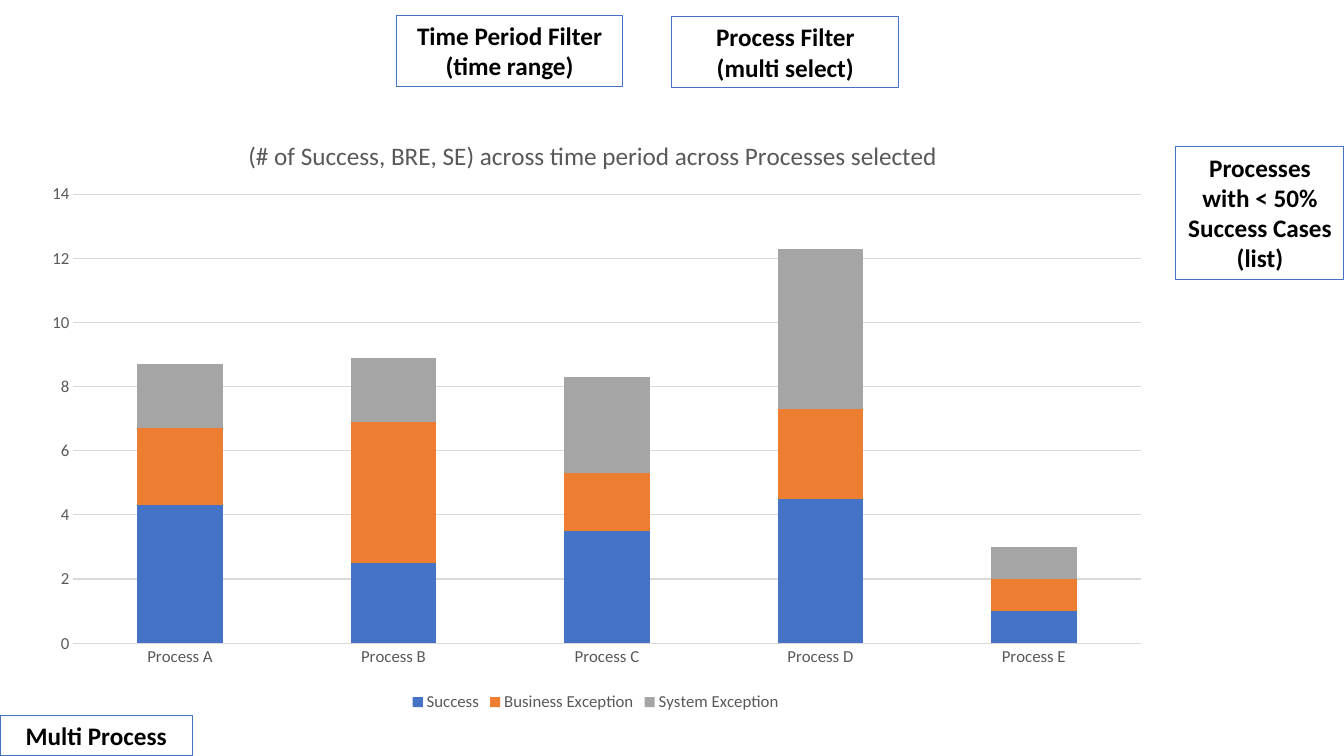
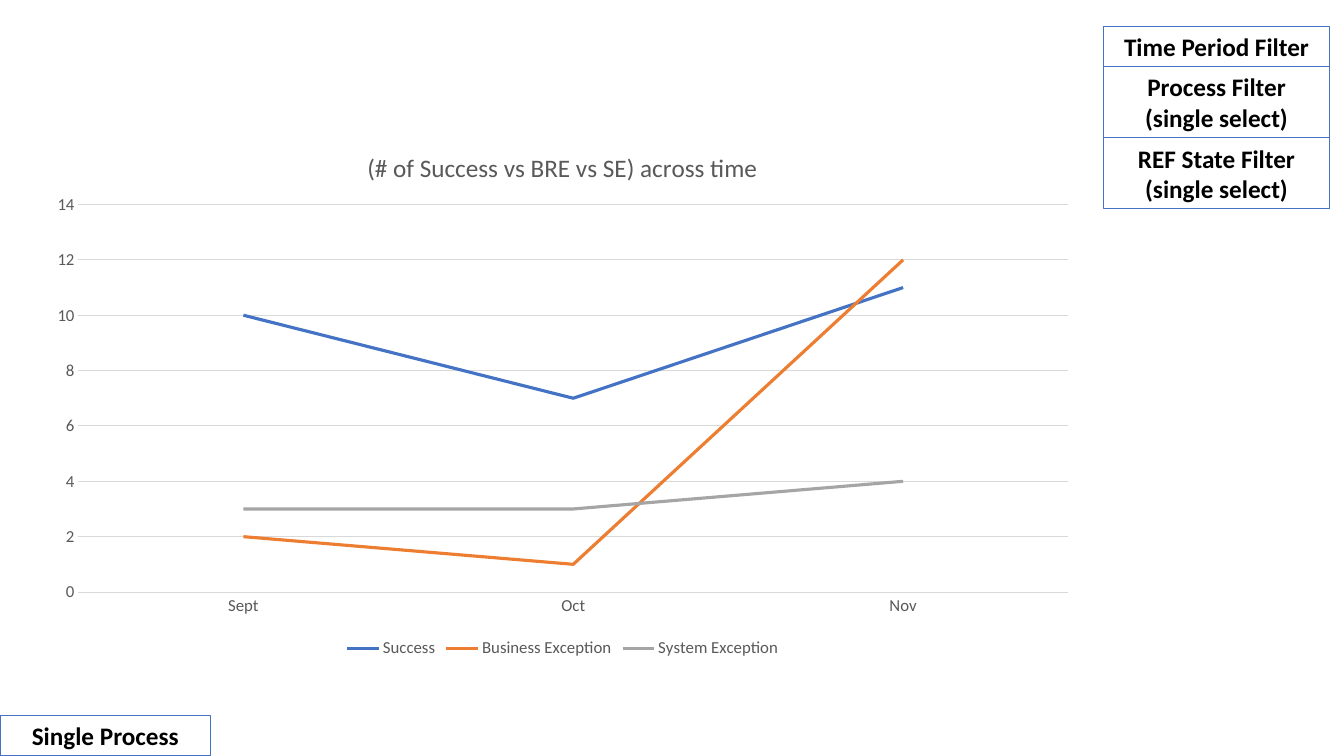
"""Build two dashboard slides: outcomes across processes and outcomes over time."""
import lxml.etree
import pptx
import pptx.chart.data
import pptx.dml.color
import pptx.enum.chart
import pptx.enum.text
import pptx.oxml.ns
import pptx.util

FONT = "Calibri"
BLUE, ORANGE, GRAY = "4472C4", "ED7D31", "A5A5A5"
BLACK, CHART_TEXT, GRID = "000000", "595959", "D9D9D9"
SLIDE_WIDTH, SLIDE_HEIGHT = 960, 540
FILTER_WIDTH = 162
LINE_HEIGHT, BOX_PADDING = 21.8, 7.2
OUTCOMES = [("Success", BLUE), ("Business Exception", ORANGE), ("System Exception", GRAY)]


def rgb(color):
    """Return the colour object for a hex string."""
    return pptx.dml.color.RGBColor.from_string(color)


def add_box(slide, text, left, top, width, lines, size=18, color=BLACK, bold=True):
    """Add an outlined text box and return its bottom edge."""
    height = BOX_PADDING + LINE_HEIGHT * lines
    shape = slide.shapes.add_textbox(*map(pptx.util.Pt, (left, top, width, height)))
    shape.line.color.rgb = rgb(BLUE)
    shape.line.width = pptx.util.Pt(0.75)
    frame = shape.text_frame
    frame.word_wrap = True
    frame.auto_size = pptx.enum.text.MSO_AUTO_SIZE.SHAPE_TO_FIT_TEXT
    frame.text = text
    for paragraph in frame.paragraphs:
        paragraph.alignment = pptx.enum.text.PP_ALIGN.CENTER
        for run in paragraph.runs:
            run.font.name = FONT
            run.font.size = pptx.util.Pt(size)
            run.font.bold = bold
            run.font.color.rgb = rgb(color)
    return top + height


presentation = pptx.Presentation()
presentation.slide_width = pptx.util.Pt(SLIDE_WIDTH)
presentation.slide_height = pptx.util.Pt(SLIDE_HEIGHT)
blank_layout = presentation.slide_layouts[6]

dashboards = [
    {
        "tag": "Multi Process",
        "tag_width": 137.5,
        "kind": pptx.enum.chart.XL_CHART_TYPE.COLUMN_STACKED,
        "title": "(# of Success, BRE, SE) across time period across Processes selected",
        "area": (20, 78, 811, 433.5),
        "title_place": {"x": 0.19, "y": 0.04},
        "plot_place": {"x": 0.04, "y": 0.14, "w": 0.94, "h": 0.74},
        "categories": ["Process A", "Process B", "Process C", "Process D", "Process E"],
        "values": [(4.3, 2.5, 3.5, 4.5, 1), (2.4, 4.4, 1.8, 2.8, 1), (2, 2, 3, 5, 1)],
    },
    {
        "tag": "Single Process",
        "tag_width": 150.5,
        "kind": pptx.enum.chart.XL_CHART_TYPE.LINE,
        "title": "(# of Success vs BRE vs SE) across time",
        "area": (26, 88.5, 752, 384.5),
        "title_place": {"x": 0.31, "y": 0.04},
        "plot_place": {"x": 0.04, "y": 0.15, "w": 0.94, "h": 0.72},
        "categories": ["Sept", "Oct", "Nov"],
        "values": [(10, 7, 11), (2, 1, 12), (3, 3, 4)],
    },
]

slides = []
for dashboard in dashboards:
    slide = presentation.slides.add_slide(blank_layout)
    slides.append(slide)
    chart_data = pptx.chart.data.CategoryChartData()
    chart_data.categories = dashboard["categories"]
    for (name, _), values in zip(OUTCOMES, dashboard["values"]):
        chart_data.add_series(name, values)
    area = map(pptx.util.Pt, dashboard["area"])
    chart = slide.shapes.add_chart(dashboard["kind"], *area, chart_data).chart
    chart.font.name = FONT
    chart.font.size = pptx.util.Pt(12)
    chart.font.color.rgb = rgb(CHART_TEXT)

    chart.has_title = True
    title_frame = chart.chart_title.text_frame
    title_frame.text = dashboard["title"]
    title_font = title_frame.paragraphs[0].runs[0].font
    title_font.name = FONT
    title_font.size = pptx.util.Pt(18)
    title_font.bold = False
    title_font.color.rgb = rgb(CHART_TEXT)

    chart.has_legend = True
    chart.legend.position = pptx.enum.chart.XL_LEGEND_POSITION.BOTTOM
    chart.legend.include_in_layout = False

    for axis in (chart.category_axis, chart.value_axis):
        axis.major_tick_mark = pptx.enum.chart.XL_TICK_MARK.NONE
        axis.minor_tick_mark = pptx.enum.chart.XL_TICK_MARK.NONE
    chart.value_axis.minimum_scale = 0
    chart.value_axis.maximum_scale = 14
    chart.value_axis.major_unit = 2
    chart.value_axis.format.line.fill.background()
    for line in (chart.category_axis.format.line, chart.value_axis.major_gridlines.format.line):
        line.color.rgb = rgb(GRID)
        line.width = pptx.util.Pt(0.75)

    plot = chart.plots[0]
    plot.vary_by_categories = False
    is_line = dashboard["kind"] == pptx.enum.chart.XL_CHART_TYPE.LINE
    if not is_line:
        plot.gap_width = 150
        plot.overlap = 100
    for series, (_, color) in zip(plot.series, OUTCOMES):
        if is_line:
            series.smooth = False
            series.marker.style = pptx.enum.chart.XL_MARKER_STYLE.NONE
            series.format.line.color.rgb = rgb(color)
            series.format.line.width = pptx.util.Pt(2.25)
        else:
            series.format.fill.solid()
            series.format.fill.fore_color.rgb = rgb(color)

    for part, index in (("title", 1), ("plot", 0)):
        tag = "c:title" if part == "title" else "c:plotArea"
        element = chart.element.xpath(f"c:chart/{tag}")[0]
        for old_layout in element.xpath("c:layout"):
            element.remove(old_layout)
        layout = element.makeelement(pptx.oxml.ns.qn("c:layout"))
        element.insert(index, layout)
        manual = lxml.etree.SubElement(layout, pptx.oxml.ns.qn("c:manualLayout"))
        place = dashboard[f"{part}_place"]
        settings = [("layoutTarget", "inner")] if part == "plot" else []
        settings += [(f"{key}Mode", "edge") for key in ("x", "y")]
        settings += [(key, str(value)) for key, value in place.items()]
        for key, value in settings:
            lxml.etree.SubElement(manual, pptx.oxml.ns.qn(f"c:{key}"), val=value)

    tag_top = SLIDE_HEIGHT - BOX_PADDING - LINE_HEIGHT
    add_box(slide, dashboard["tag"], 0, tag_top, dashboard["tag_width"], 1)

multi_slide, single_slide = slides
add_box(multi_slide, "Time Period Filter\n(time range)", 283, 11, FILTER_WIDTH, 2)
add_box(multi_slide, "Process Filter\n(multi select)", 480, 12, FILTER_WIDTH, 2)
add_box(multi_slide, "Processes with < 50% Success Cases\n(list)", 840, 105, 120, 4)

filter_top = 18.7
for text in (
    "Time Period Filter",
    "Process Filter\n(single select)",
    "REF State Filter\n(single select)",
):
    lines = text.count("\n") + 1
    filter_top = add_box(single_slide, text, 788, filter_top, FILTER_WIDTH, lines)

presentation.save("out.pptx")
